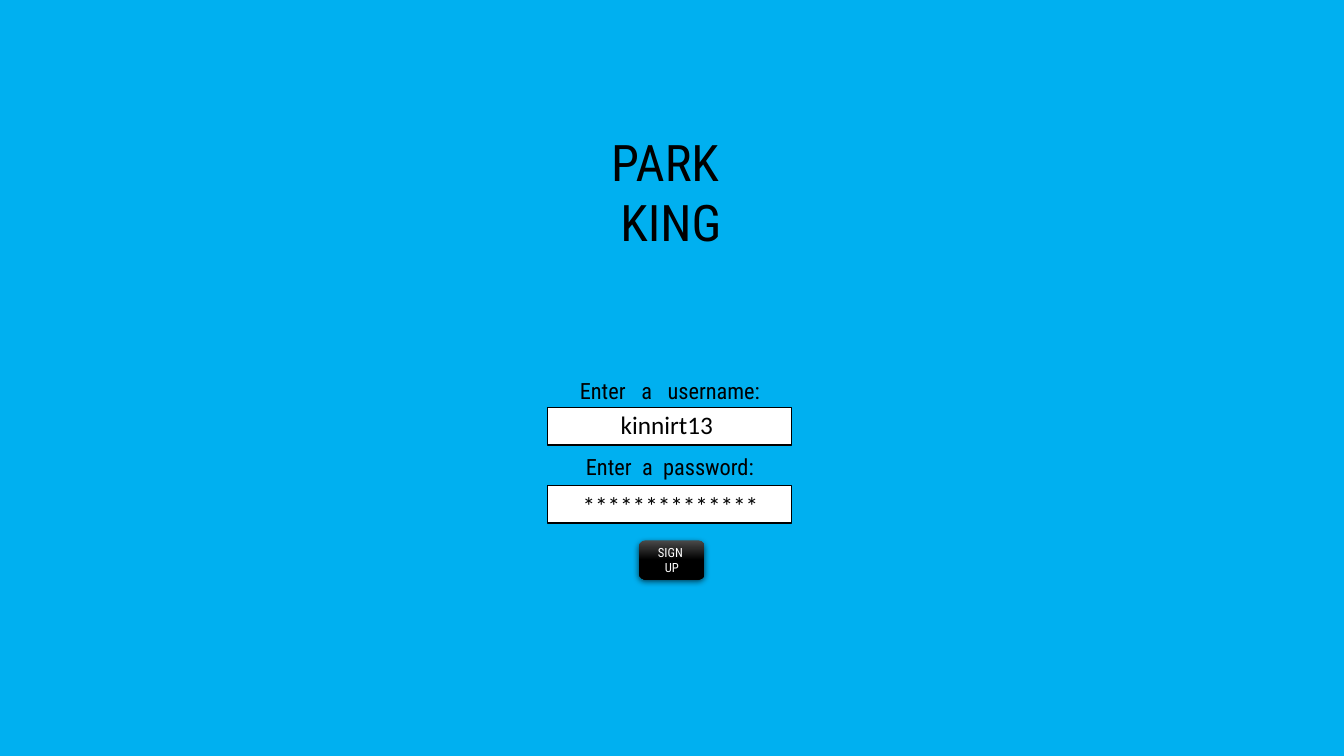
from lxml import etree
from pptx import Presentation
from pptx.dml.color import RGBColor
from pptx.enum.shapes import MSO_SHAPE
from pptx.enum.text import MSO_ANCHOR, PP_ALIGN
from pptx.oxml import parse_xml
from pptx.util import Pt

RECTANGLE = MSO_SHAPE.RECTANGLE
ROUNDED = MSO_SHAPE.ROUNDED_RECTANGLE
LEFT, CENTER = PP_ALIGN.LEFT, PP_ALIGN.CENTER
MIDDLE = MSO_ANCHOR.MIDDLE

SKY = RGBColor(0x00, 0xB0, 0xF0)
BLACK = RGBColor(0x00, 0x00, 0x00)
WHITE = RGBColor(0xFF, 0xFF, 0xFF)
GRAY = RGBColor(0x4B, 0x4B, 0x4B)
HEADING_FONT, ENTRY_FONT = "Roboto Condensed", "Calibri"

BUTTON_SHADOW = (
    '<a:outerShdw xmlns:a="http://schemas.openxmlformats.org/drawingml/2006/main"'
    ' blurRad="57150" dist="19050" dir="5400000" algn="ctr" rotWithShape="0">'
    '<a:srgbClr val="000000"><a:alpha val="63000"/></a:srgbClr></a:outerShdw>'
)


def write(shape, lines, size, font, color=BLACK, align=CENTER, word_gap=0):
    """Fill a shape with lines of text; word_gap widens each space, in points."""
    frame = shape.text_frame
    frame.word_wrap = True
    for index, line in enumerate(lines):
        para = frame.paragraphs[0] if index == 0 else frame.add_paragraph()
        para.alignment = align
        pieces = line.replace(" ", "| |").split("|") if word_gap else [line]
        for piece in pieces:
            span = para.add_run()
            span.text = piece
            span.font.size = Pt(size)
            span.font.name = font
            span.font.color.rgb = color
            if word_gap and piece == " ":
                span.font._element.set("spc", str(round(word_gap * 100)))


def add_text(left, top, width, height, lines, size, font, **style):
    box = slide.shapes.add_textbox(Pt(left), Pt(top), Pt(width), Pt(height))
    write(box, lines, size, font, **style)


deck = Presentation()
deck.slide_width, deck.slide_height = Pt(960), Pt(540)
slide = deck.slides.add_slide(deck.slide_layouts[6])
slide.background.fill.solid()
slide.background.fill.fore_color.rgb = SKY

add_text(405.4, 90, 147.6, 94.5, ["PARK ", "KING"], 36, HEADING_FONT)

# Label, its top, extra word gap, entry, entry left, entry top
fields = [
    ("Enter a username:", 265.7, 7.5, "kinnirt13", 436.3, 288.7),
    ("Enter a password:", 320.4, 3.75, "*" * 14, 409, 347),
]
for row, (label, label_top, gap, entry, entry_left, entry_top) in enumerate(fields):
    add_text(383.8, label_top, 189.4, 26.6, [label], 16, HEADING_FONT, word_gap=gap)
    field = slide.shapes.add_shape(
        RECTANGLE, Pt(391), Pt(291.3 + 55.7 * row), Pt(174.2), Pt(26.6))
    field.fill.solid()
    field.fill.fore_color.rgb = WHITE
    field.line.color.rgb = BLACK
    field.line.width = Pt(1)
    field.shadow.inherit = False
    add_text(entry_left, entry_top, 165, 29, [entry], 18, ENTRY_FONT, align=LEFT)

button = slide.shapes.add_shape(ROUNDED, Pt(456.5), Pt(385.9), Pt(46.8), Pt(28.1))
button.fill.gradient()
button.fill.gradient_angle = 270
top_stop, lower_stop = button.fill.gradient_stops
top_stop.position, top_stop.color.rgb = 0, GRAY
lower_stop.position, lower_stop.color.rgb = 0.5, BLACK
button.line.fill.background()
button.shadow.inherit = False
effects = button._element.spPr.find("{*}effectLst")
effects.append(parse_xml(BUTTON_SHADOW))
button.text_frame.vertical_anchor = MIDDLE
write(button, ["SIGN ", "UP"], 9, HEADING_FONT, color=WHITE)

deck.save("out.pptx")
